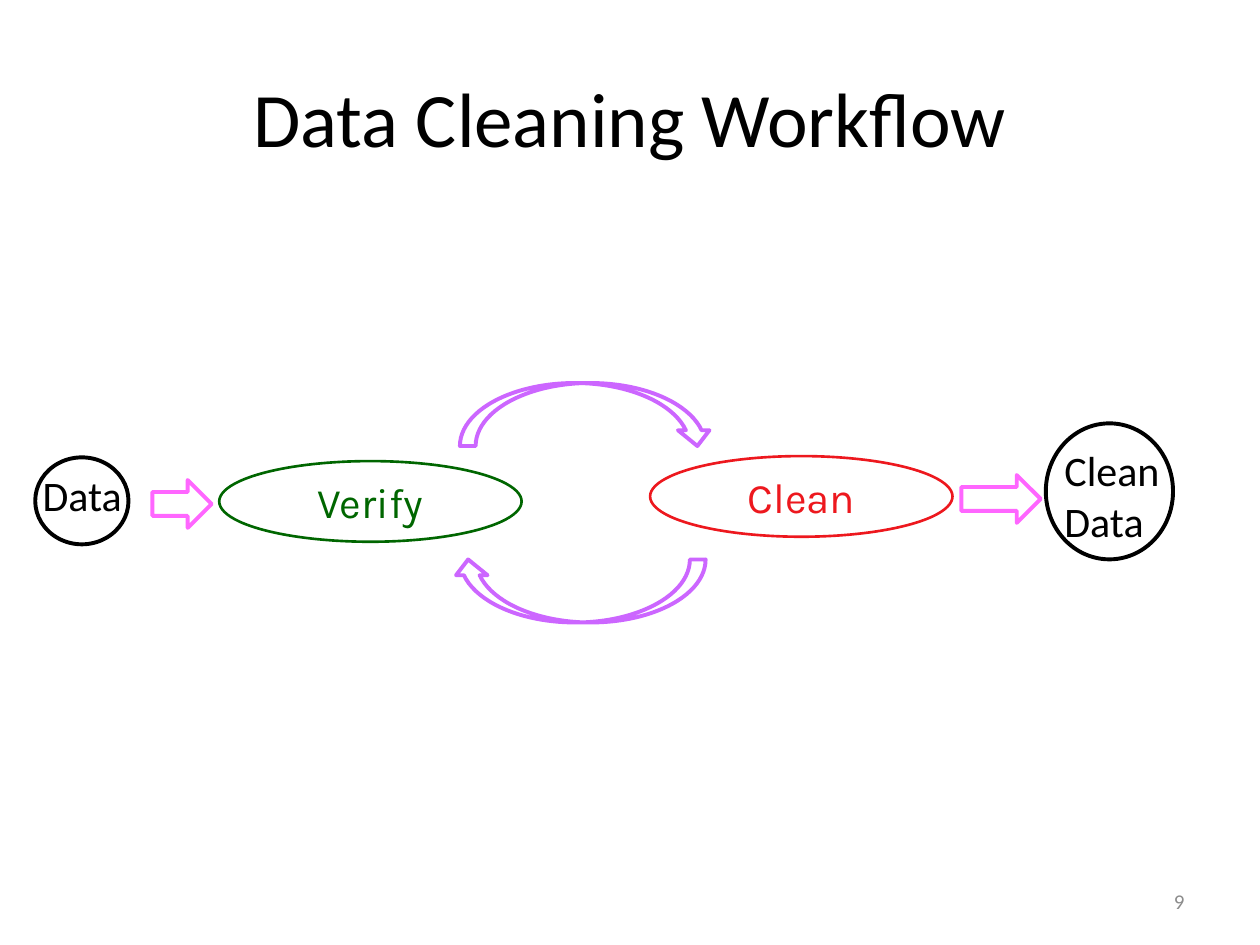
"""Build the data cleaning workflow slide."""
from dataclasses import dataclass
from typing import Any, Optional

from pptx import Presentation
from pptx.dml.color import RGBColor
from pptx.enum.shapes import MSO_SHAPE
from pptx.enum.text import MSO_ANCHOR, MSO_AUTO_SIZE, PP_ALIGN
from pptx.util import Inches, Pt

BLACK = RGBColor(0x00, 0x00, 0x00)
GREEN = RGBColor(0x00, 0x66, 0x00)
RED = RGBColor(0xED, 0x18, 0x1E)
PURPLE = RGBColor(0xCC, 0x66, 0xFF)
PINK = RGBColor(0xFF, 0x66, 0xFF)
GRAY = RGBColor(0x8C, 0x8C, 0x8C)

Box = tuple[float, float, float, float]


@dataclass
class Outline:
    kind: MSO_SHAPE
    box: Box
    color: RGBColor
    width: float = 2.25
    rotation: float = 0
    text: Optional[str] = None


@dataclass
class Label:
    lines: list[str]
    box: Box
    frame: dict[str, Any]
    size: float = 24
    color: RGBColor = BLACK
    align: PP_ALIGN = PP_ALIGN.LEFT


FIT = {"word_wrap": False, "auto_size": MSO_AUTO_SIZE.SHAPE_TO_FIT_TEXT}
MIDDLE = {"word_wrap": True, "vertical_anchor": MSO_ANCHOR.MIDDLE}
STAGE = {"word_wrap": False, "vertical_anchor": MSO_ANCHOR.MIDDLE}

OUTLINES = [
    Outline(MSO_SHAPE.OVAL, (1.74, 3.66, 2.4, 0.64), GREEN, 1.5, text="Verify"),
    Outline(MSO_SHAPE.OVAL, (5.16, 3.62, 2.4, 0.64), RED, 1.5, text="Clean"),
    Outline(MSO_SHAPE.CURVED_DOWN_ARROW, (3.65, 3.04, 2.01, 0.5), PURPLE),
    Outline(MSO_SHAPE.CURVED_DOWN_ARROW, (3.59, 4.44, 2.01, 0.5), PURPLE, rotation=180),
    Outline(MSO_SHAPE.OVAL, (0.28, 3.63, 0.74, 0.69), BLACK),
    Outline(MSO_SHAPE.OVAL, (8.3, 3.36, 1.01, 1.08), BLACK),
    Outline(MSO_SHAPE.RIGHT_ARROW, (1.21, 3.81, 0.47, 0.38), PINK),
    Outline(MSO_SHAPE.RIGHT_ARROW, (7.63, 3.77, 0.63, 0.38), PINK),
]
LABELS = [
    Label(["Data"], (0.24, 3.68, 0.84, 0.5), FIT),
    Label(["Clean", "Data"], (8.35, 3.48, 0.96, 0.91), FIT),
    Label(["9"], (7.17, 6.95, 2.33, 0.4), MIDDLE, 12, GRAY, PP_ALIGN.RIGHT),
]


def set_attrs(obj: Any, values: dict[str, Any]) -> None:
    """Set each named attribute on the object."""
    for name, value in values.items():
        setattr(obj, name, value)


def write(tf: Any, lines: list[str], frame: dict[str, Any], font: str,
          size: float, color: RGBColor, align: PP_ALIGN) -> None:
    """Fill a text frame with one paragraph per line."""
    set_attrs(tf, frame)
    for i, line in enumerate(lines):
        p = tf.paragraphs[0] if i == 0 else tf.add_paragraph()
        p.alignment = align
        r = p.add_run()
        r.text = line
        set_attrs(r.font, {"name": font, "size": Pt(size)})
        r.font.color.rgb = color


def draw_outline(s: Any, item: Outline) -> None:
    """Draw an unfilled shape with its optional text."""
    sp = s.shapes.add_shape(item.kind, *map(Inches, item.box))
    sp.shadow.inherit = False
    sp.rotation = item.rotation
    sp.fill.background()
    sp.line.color.rgb = item.color
    sp.line.width = Pt(item.width)
    if item.text:
        write(sp.text_frame, [item.text], STAGE, "Karla", 24, item.color, PP_ALIGN.CENTER)


def draw_label(s: Any, item: Label) -> None:
    """Draw a text box."""
    sp = s.shapes.add_textbox(*map(Inches, item.box))
    write(sp.text_frame, item.lines, item.frame, "Calibri", item.size, item.color, item.align)


def main() -> None:
    """Build and save the slide."""
    prs = Presentation()
    set_attrs(prs, {"slide_width": Inches(10), "slide_height": Inches(7.5)})
    s = prs.slides.add_slide(prs.slide_layouts[5])
    title = s.shapes.title
    set_attrs(title, dict(zip(("left", "top", "width", "height"),
                              map(Inches, (0.5, 0.3, 9, 1.25)))))
    write(title.text_frame, ["Data Cleaning Workflow"], MIDDLE, "Calibri", 44,
          BLACK, PP_ALIGN.CENTER)
    for outline in OUTLINES:
        draw_outline(s, outline)
    for label in LABELS:
        draw_label(s, label)
    prs.save("out.pptx")


if __name__ == "__main__":
    main()
